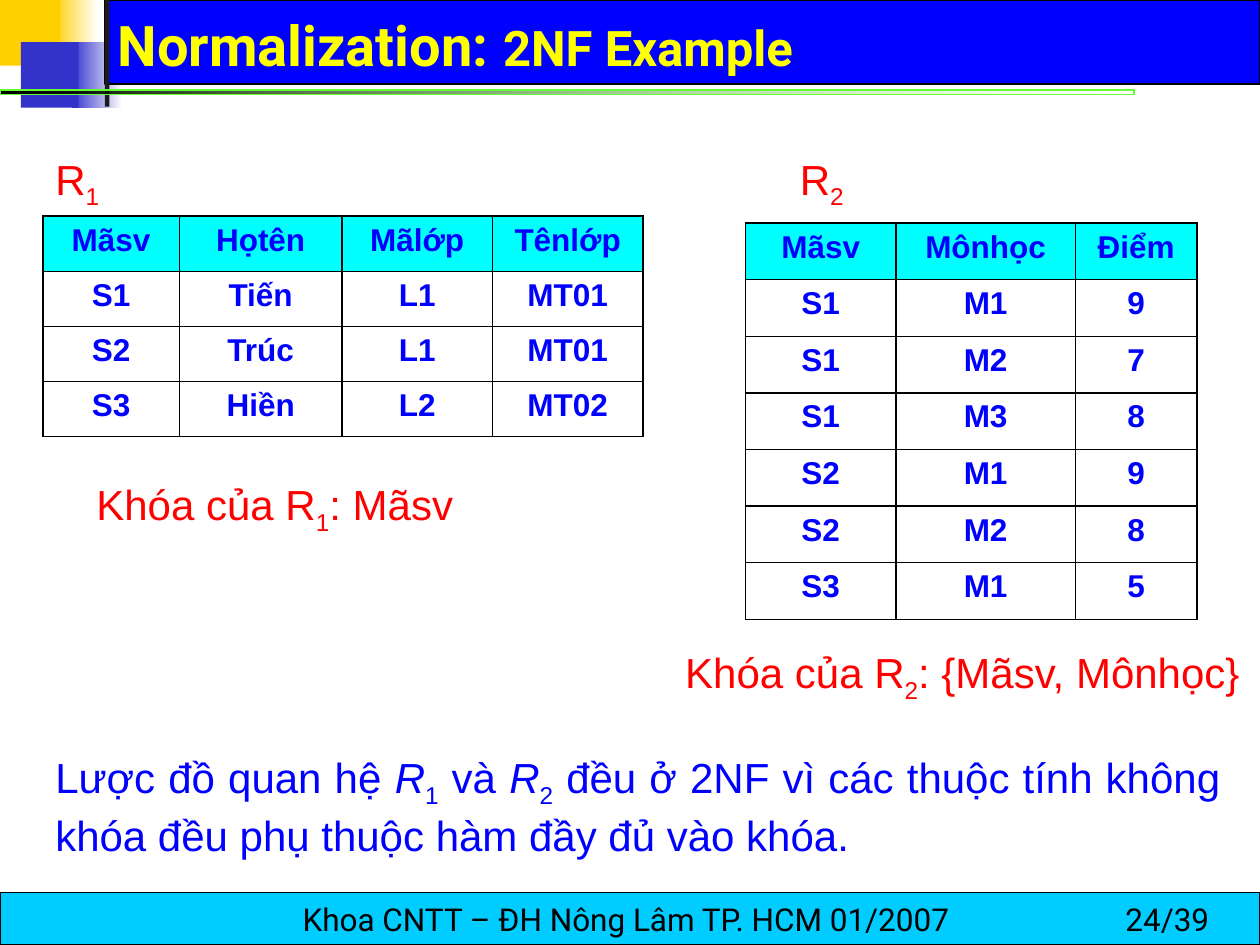
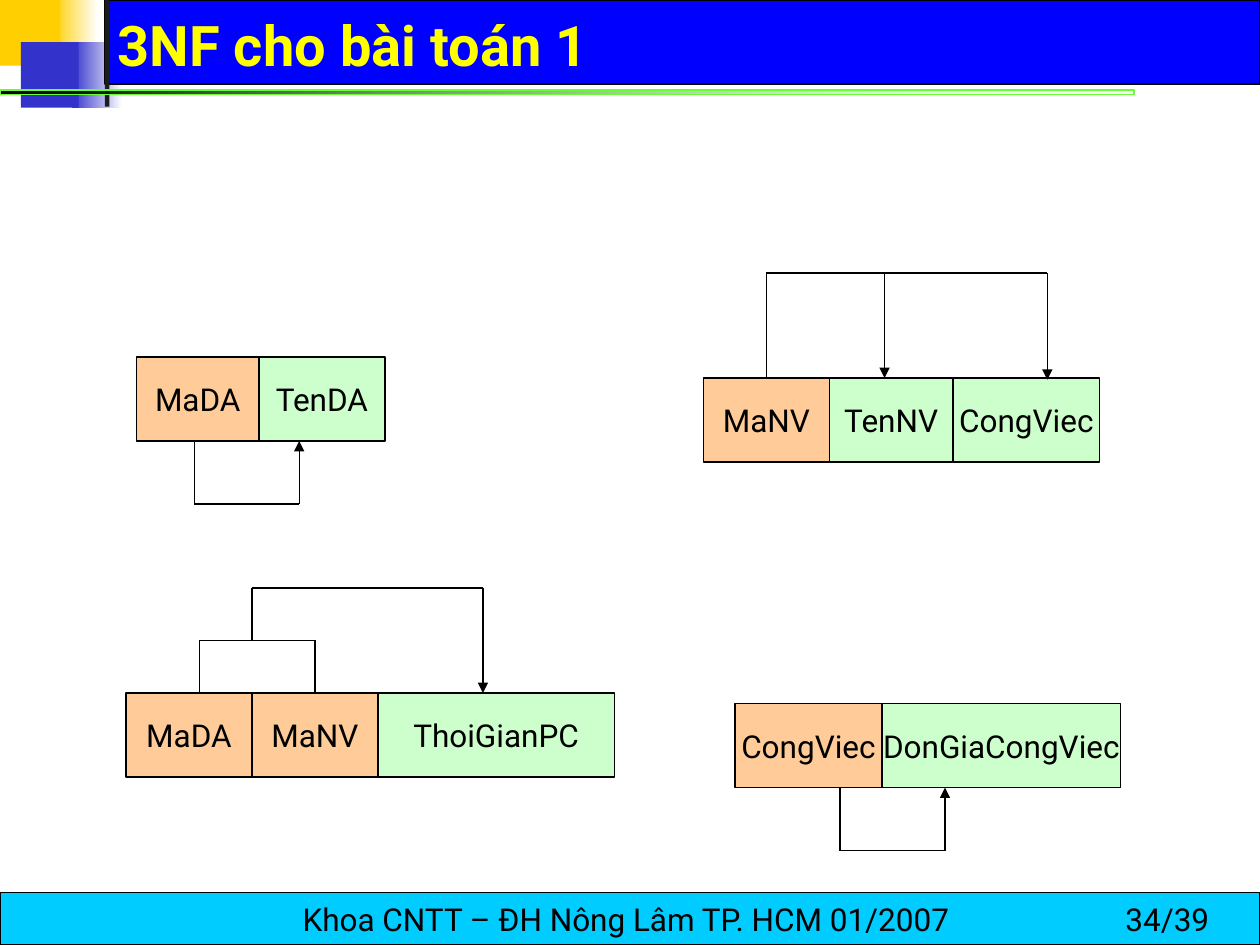
from dataclasses import dataclass
from itertools import pairwise

from lxml.etree import SubElement
from pptx import Presentation
from pptx.dml.color import RGBColor
from pptx.enum.shapes import MSO_CONNECTOR, MSO_SHAPE
from pptx.enum.text import MSO_ANCHOR, MSO_AUTO_SIZE, PP_ALIGN
from pptx.oxml.ns import qn
from pptx.util import Pt


@dataclass(frozen=True)
class Theme:
    yellow: str = "FFCF01"
    indigo: str = "3333CC"
    title_band: str = "0000FF"
    title_text: str = "FFFF00"
    stem: str = "1C1C1C"
    rule: str = "66FF33"
    footer_band: str = "00CCFF"
    black: str = "000000"
    white: str = "FFFFFF"
    red: str = "FF0000"
    blue: str = "0000FF"
    table_head: str = "00FFFF"
    key_field: str = "FFCC99"
    plain_field: str = "CCFFCC"
    diagram_font: str = "Roboto"
    text_font: str = "Arial"
    title_size: int = 32
    subtitle_size: int = 28
    body_size: int = 24
    small_size: int = 18
    thin: float = 0.75


THEME = Theme()
PAGE_TOTAL = 39
FIELD_HEIGHT = 48


def rgb(color):
    return RGBColor.from_string(color)


def style(paragraph, size, color, font, bold=False, align=PP_ALIGN.LEFT):
    paragraph.alignment = align
    paragraph.font.size = Pt(size)
    paragraph.font.name = font
    paragraph.font.bold = bold
    paragraph.font.color.rgb = rgb(color)


def add_box(slide, left, top, width, height, fill, line=None, line_width=THEME.thin):
    """Rectangle with a plain fill, or a left-to-right gradient for a pair of colours."""
    box = slide.shapes.add_shape(
        MSO_SHAPE.RECTANGLE, Pt(left), Pt(top), Pt(width), Pt(height))
    box.shadow.inherit = False
    if isinstance(fill, tuple):
        box.fill.gradient()
        box.fill.gradient_angle = 0
        for stop, color in zip(box.fill.gradient_stops, fill):
            stop.color.rgb = rgb(color)
    else:
        box.fill.solid()
        box.fill.fore_color.rgb = rgb(fill)
    if line:
        box.line.color.rgb = rgb(line)
        box.line.width = Pt(line_width)
    else:
        box.line.fill.background()
    return box


def add_label_box(slide, text, left, top, width, height, fill):
    box = add_box(slide, left, top, width, height, fill, THEME.black)
    box.text_frame.word_wrap = False
    box.text_frame.vertical_anchor = MSO_ANCHOR.MIDDLE
    paragraph = box.text_frame.paragraphs[0]
    paragraph.text = text
    style(paragraph, THEME.small_size, THEME.black, THEME.diagram_font,
          align=PP_ALIGN.CENTER)
    return box


def add_text(slide, left, top, width, height, runs, color, size=THEME.body_size,
             font=THEME.text_font, align=PP_ALIGN.LEFT, wrap=True):
    """Text box; each run is plain text or a (text, "sub" or "italic") pair."""
    frame = slide.shapes.add_textbox(
        Pt(left), Pt(top), Pt(width), Pt(height)).text_frame
    frame.word_wrap = wrap
    paragraph = frame.paragraphs[0]
    style(paragraph, size, color, font, align=align)
    for item in runs:
        text, look = (item, None) if isinstance(item, str) else item
        run = paragraph.add_run()
        run.text = text
        if look == "italic":
            run.font.italic = True
        elif look == "sub":
            run._r.get_or_add_rPr().set("baseline", "-25000")


def build_layout(prs, slide):
    """Draw the shared bands once and move them to the layout."""
    layout = slide.slide_layout
    for placeholder in list(layout.placeholders):
        if placeholder.placeholder_format.idx != 0:
            layout.shapes.element.remove(placeholder.element)
    rule = add_box(slide, 0, 51.5, 648, 2.5, (THEME.black, THEME.rule), THEME.rule, 0)
    clear_end = list(rule.element.spPr.iter(qn("a:srgbClr")))[1]
    SubElement(clear_end, qn("a:alpha"), val="0")
    bands = [
        add_box(slide, 30, 0, 26, 37.5, (THEME.yellow, THEME.white)),
        add_box(slide, 41, 24, 29, 37.5, (THEME.indigo, THEME.white)),
        add_box(slide, 60, 0, 660, 48, THEME.title_band, THEME.black),
        add_box(slide, 0, 0, 34.5, 37.5, THEME.yellow),
        add_box(slide, 12, 24, 33, 37.5, THEME.indigo),
        add_box(slide, 60, 0, 2.5, 61, THEME.stem),
        rule,
        add_label_box(slide, "Khoa CNTT – ĐH Nông Lâm TP. HCM 01/2007 ",
                      0, 510, 720, 30, THEME.footer_band),
    ]
    for band in bands:
        layout.shapes.element.append(band.element)


def set_title(slide, title, subtitle=None):
    heading = slide.shapes.title
    heading.left, heading.top, heading.width, heading.height = map(Pt, (60, 6, 644, 42))
    frame = heading.text_frame
    frame.auto_size = MSO_AUTO_SIZE.NONE
    frame.vertical_anchor = MSO_ANCHOR.BOTTOM
    paragraph = frame.paragraphs[0]
    paragraph.text = title
    style(paragraph, THEME.title_size, THEME.title_text, THEME.diagram_font, bold=True)
    if subtitle:
        run = paragraph.add_run()
        run.text = subtitle
        run.font.size = Pt(THEME.subtitle_size)


def add_page_number(slide, number):
    add_text(slide, 636, 511, 84, 29, [f"{number}/{PAGE_TOTAL}"], THEME.black,
             THEME.small_size, THEME.diagram_font)


def set_borders(cell):
    properties = cell._tc.get_or_add_tcPr()
    for side in ("lnL", "lnR", "lnT", "lnB"):
        border = SubElement(properties, qn(f"a:{side}"), w=str(Pt(1)))
        fill = SubElement(border, qn("a:solidFill"))
        SubElement(fill, qn("a:srgbClr"), val=THEME.black)


def add_relation_table(slide, left, top, widths, row_height, rows):
    table = slide.shapes.add_table(
        len(rows), len(widths), Pt(left), Pt(top),
        Pt(sum(widths)), Pt(row_height * len(rows))).table
    for column, width in zip(table.columns, widths):
        column.width = Pt(width)
    for r, values in enumerate(rows):
        table.rows[r].height = Pt(row_height)
        for c, value in enumerate(values):
            cell = table.cell(r, c)
            set_borders(cell)
            cell.fill.solid()
            cell.fill.fore_color.rgb = rgb(THEME.white if r else THEME.table_head)
            paragraph = cell.text_frame.paragraphs[0]
            paragraph.text = value
            style(paragraph, THEME.small_size, THEME.blue, THEME.text_font,
                  bold=True, align=PP_ALIGN.CENTER)


def add_schema(slide, left, top, keys, others):
    """Row of touching field boxes, each given as (name, width)."""
    for fields, fill in ((keys, THEME.key_field), (others, THEME.plain_field)):
        for name, width in fields:
            add_label_box(slide, name, left, top, width, FIELD_HEIGHT, fill)
            left += width


def add_route(slide, *points, arrow=True):
    """Straight lines through the points, with an arrowhead on the last one."""
    for start, end in pairwise(points):
        line = slide.shapes.add_connector(
            MSO_CONNECTOR.STRAIGHT, *map(Pt, (*start, *end)))
        line.line.color.rgb = rgb(THEME.black)
        line.line.width = Pt(THEME.thin)
        if arrow and end == points[-1]:
            SubElement(line.line._get_or_add_ln(), qn("a:tailEnd"), type="triangle")
        SubElement(line.element.spPr, qn("a:effectLst"))


def build_2nf_slide(slide):
    set_title(slide, "Normalization: ", "2NF Example")

    # Relation R1
    add_text(slide, 24.5, 84, 48, 36, ["R", ("1", "sub")], THEME.red)
    add_relation_table(slide, 24.5, 123.5, (78, 93, 86, 86), 31.5, [
        ("Mãsv", "Họtên", "Mãlớp", "Tênlớp"),
        ("S1", "Tiến", "L1", "MT01"),
        ("S2", "Trúc", "L1", "MT01"),
        ("S3", "Hiền", "L2", "MT02"),
    ])
    add_text(slide, 48, 270, 248, 36, ["Khóa của R", ("1", "sub"), ": Mãsv"], THEME.red)

    # Relation R2
    add_text(slide, 450, 84, 48, 36, ["R", ("2", "sub")], THEME.red)
    add_relation_table(slide, 426, 127.5, (86, 102.5, 69.5), 32.35, [
        ("Mãsv", "Mônhọc", "Điểm"),
        ("S1", "M1", "9"),
        ("S1", "M2", "7"),
        ("S1", "M3", "8"),
        ("S2", "M1", "9"),
        ("S2", "M2", "8"),
        ("S3", "M1", "5"),
    ])
    add_text(slide, 384.5, 366, 335.5, 36,
             ["Khóa của R", ("2", "sub"), ": {Mãsv, Mônhọc}"], THEME.red, wrap=False)

    # Conclusion
    add_text(slide, 24.5, 426, 680, 65.5, [
        "Lược đồ quan hệ ", ("R", "italic"), ("1", "sub"), " và ",
        ("R", "italic"), ("2", "sub"),
        " đều ở 2NF vì các thuộc tính không khóa đều phụ thuộc hàm đầy đủ vào khóa.",
    ], THEME.blue, align=PP_ALIGN.JUSTIFY)


def build_3nf_slide(slide):
    set_title(slide, "3NF cho bài toán 1")

    # Project
    add_schema(slide, 78, 204, [("MaDA", 70)], [("TenDA", 72)])
    add_route(slide, (111, 252), (111, 288), (171, 288), (171, 252))

    # Assignment, with a two-field key
    add_schema(slide, 72, 396, [("MaDA", 72), ("MaNV", 72)], [("ThoiGianPC", 135)])
    add_route(slide, (114, 396), (114, 366), (180, 366), (180, 396), arrow=False)
    add_route(slide, (144, 366), (144, 336), (276, 336), (276, 396))

    # Rate per job
    add_schema(slide, 420, 402, [("CongViec", 84)], [("DonGiaCongViec", 136.5)])
    add_route(slide, (480, 450), (480, 486), (540, 486), (540, 450))

    # Employee
    add_schema(slide, 402, 216, [("MaNV", 72)], [("TenNV", 70.5), ("CongViec", 84)])
    add_route(slide, (438, 216), (438, 156), (505.5, 156), (505.5, 216))
    add_route(slide, (505.5, 156), (598.5, 156), (598.5, 217))


def main():
    prs = Presentation()
    prs.slide_width, prs.slide_height = Pt(720), Pt(540)
    title_only = prs.slide_layouts[5]
    pages = ((24, build_2nf_slide), (34, build_3nf_slide))
    for position, (number, build) in enumerate(pages):
        slide = prs.slides.add_slide(title_only)
        if position == 0:
            build_layout(prs, slide)
        build(slide)
        add_page_number(slide, number)
    prs.save("out.pptx")


if __name__ == "__main__":
    main()
